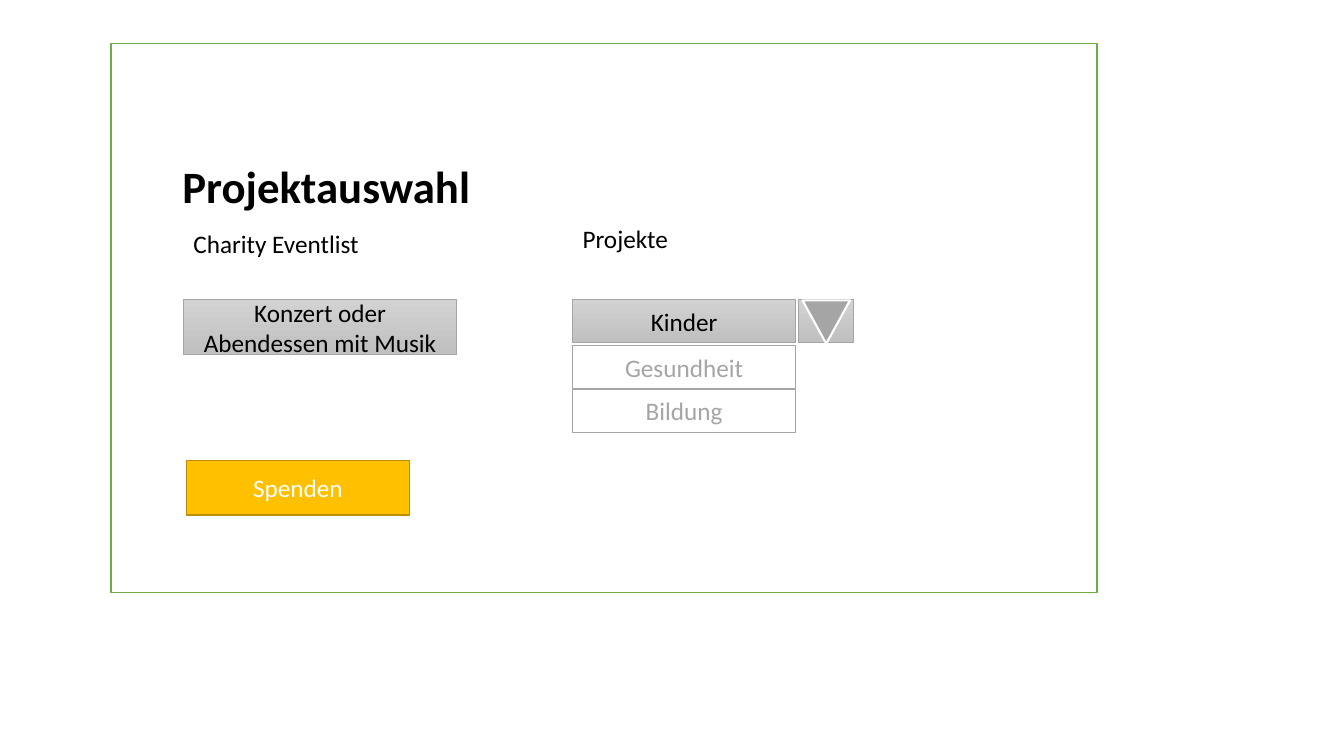
from pptx import Presentation
from pptx.dml.color import RGBColor
from pptx.enum.shapes import MSO_SHAPE
from pptx.enum.text import MSO_ANCHOR, PP_ALIGN
from pptx.util import Inches, Pt

COLORS = {
    "black": "000000", "white": "FFFFFF", "gray": "A5A5A5",
    "light": "D2D2D2", "dark": "C0C0C0", "green": "70AD47",
    "gold": "FFC000", "brown": "BD8E00",
}
COLS = {"frame": 1.1, "title": 1.71, "event": 1.82, "give": 1.85,
        "list": 5.68, "arrow": 7.92}
WIDE, ROW, TOP = 2.21, 0.43, 2.97
MENU = TOP + ROW + 0.03

LABELS = [
    ("Projektauswahl", "title", 1.53, 4.49, 0.64, 32, True),
    ("Projekte", "list", 2.17, 1.05, 0.4, 18, False),
    ("Charity Eventlist", "event", 2.22, WIDE, 0.4, 18, False),
]
STYLES = {
    "button": (("light", "dark"), "gray", 0.5, "black"),
    "option": (None, "gray", 0.75, "gray"),
    "action": (("gold",), "brown", 1, "white"),
    "frame": (None, "green", 1, "black"),
    "mark": (("gray",), "white", 1.5, "white"),
}
OPTIONS = ["Gesundheit", "Bildung"]
BOXES = [
    ("", "frame", COLS["frame"], 0.43, 9.78, 5.45),
    ("Kinder", "button", COLS["list"], TOP, WIDE, ROW),
    ("Spenden", "action", COLS["give"], 4.57, WIDE, 0.54),
    *[(name, "option", COLS["list"], MENU + i * ROW, WIDE, ROW)
      for i, name in enumerate(OPTIONS)],
    ("", "button", COLS["arrow"], TOP, 0.54, ROW),
    ("", "mark", COLS["arrow"] + 0.04, TOP + 0.01, 0.47, ROW),
    ("Konzert oder Abendessen mit Musik", "button",
     COLS["event"], TOP, 2.71, 0.55),
]


def color(name):
    return RGBColor.from_string(COLORS[name])


def write(shape, text, size, tint, bold=False, align=PP_ALIGN.LEFT):
    frame = shape.text_frame
    frame.word_wrap = True
    frame.text = text
    line = frame.paragraphs[0]
    line.alignment = align
    for run in line.runs:
        run.font.name = "Calibri"
        run.font.size = Pt(size)
        run.font.bold = bold
        run.font.color.rgb = color(tint)


def paint(fill, tints):
    if not tints:
        fill.background()
    elif len(tints) == 1:
        fill.solid()
        fill.fore_color.rgb = color(tints[0])
    else:
        fill.gradient()
        fill.gradient_angle = 270
        for stop, tint in zip(fill.gradient_stops, tints):
            stop.color.rgb = color(tint)


def add_box(slide, text, style, *place):
    tints, edge, weight, ink = STYLES[style]
    kind = MSO_SHAPE.RECTANGLE
    if style == "mark":
        kind = MSO_SHAPE.ISOSCELES_TRIANGLE
    box = slide.shapes.add_shape(kind, *map(Inches, place))
    box.rotation = 180 if style == "mark" else 0
    box.shadow.inherit = False
    paint(box.fill, tints)
    box.line.color.rgb = color(edge)
    box.line.width = Pt(weight)
    if text:
        write(box, text, 18, ink, align=PP_ALIGN.CENTER)
        box.text_frame.vertical_anchor = MSO_ANCHOR.MIDDLE


def main():
    deck = Presentation()
    deck.slide_width, deck.slide_height = Inches(13.33), Inches(7.5)
    slide = deck.slides.add_slide(deck.slide_layouts[6])
    for box in BOXES:
        add_box(slide, *box)
    for text, col, top, wide, high, size, bold in LABELS:
        place = map(Inches, (COLS[col], top, wide, high))
        label = slide.shapes.add_textbox(*place)
        write(label, text, size, "black", bold)
    deck.save("out.pptx")


if __name__ == "__main__":
    main()
